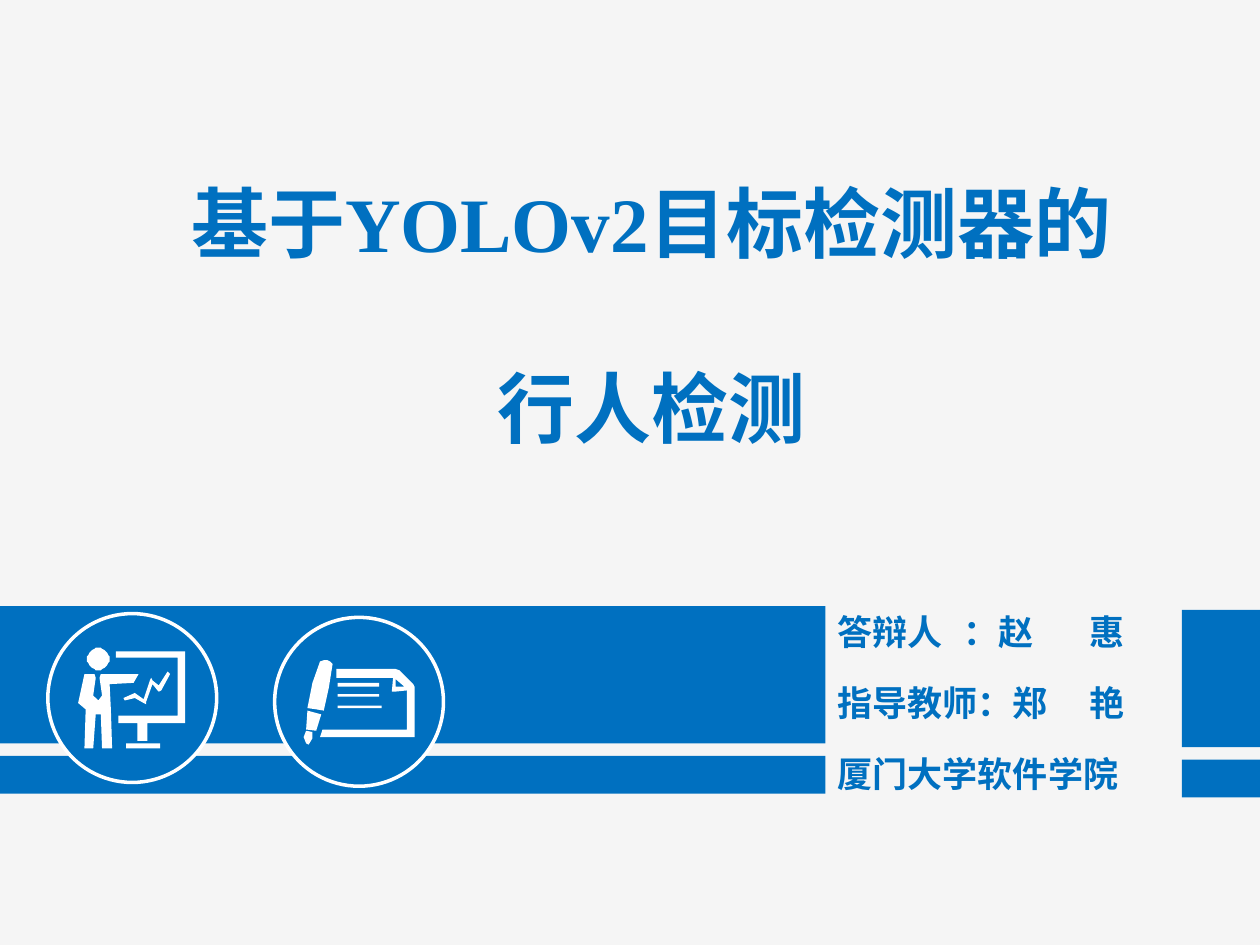
import dataclasses
import math

import pptx
import pptx.dml.color
import pptx.enum.shapes
import pptx.enum.text
import pptx.oxml
import pptx.oxml.ns
import pptx.util

Inches = pptx.util.Inches
Pt = pptx.util.Pt
Shapes = pptx.enum.shapes.MSO_SHAPE


@dataclasses.dataclass(frozen=True)
class Theme:
    """Colours, fonts and type sizes of the deck."""

    blue: str = "0070C0"
    white: str = "FFFFFF"
    backdrop: str = "F5F5F5"
    title_font: str = "Calibri"
    latin_font: str = "Times New Roman"
    label_font: str = "Noto Sans CJK SC"
    title_size: int = 44
    label_size: int = 20
    ring_width: int = 2


THEME = Theme()
UNITS_PER_INCH = 100
DIAMETER = 1.34


def rgb(value):
    """Return a colour object for a hex string."""
    return pptx.dml.color.RGBColor.from_string(value)


def bar_outline(left, top, right, bottom):
    """Return the corners of an upright rectangle."""
    return [(left, top), (right, top), (right, bottom), (left, bottom)]


def disc_outline(x, y, radius, steps=32):
    """Return points around a circle."""
    angles = [2 * math.pi * step / steps for step in range(steps)]
    return [(x + radius * math.cos(a), y + radius * math.sin(a)) for a in angles]


PRESENTER = [
    disc_outline(16, 9, 9),
    [(36, 40), (45, 36), (52, 41), (57, 26), (58, 24), (59, 26), (64, 30),
     (71, 19), (73, 21), (66, 34), (64, 35), (63, 34), (59, 29), (54, 43),
     (54, 45), (52, 44), (45, 40), (37, 42)],
    bar_outline(38, 76, 65, 80),
    [(55, 60), (85, 60), (85, 3), (30, 3), (30, 8), (79, 8), (79, 54),
     (32, 54), (32, 60), (47, 60), (47, 74), (55, 74)],
    [(0, 44), (6, 49), (5, 80), (12, 80), (14, 53), (18, 53), (19, 80),
     (27, 80), (26, 49), (25, 29), (44, 28), (48, 21), (18, 21), (17, 24),
     (19, 38), (16, 42), (12, 38), (14, 24), (13, 21), (5, 21)],
]
PEN_AND_PAPER = [
    [(13, 2), (16, 0.9), (18.8, 1.1), (21, 2), (23, 4), (20.2, 23.2),
     (16, 41), (9.5, 39.6), (3, 39), (6.9, 19.4)],
    [(15, 56), (13, 62), (88, 62), (88, 22), (87, 20), (76, 9), (73, 8),
     (26, 8), (26, 15), (71, 15), (70, 26), (72, 26), (82, 25), (82, 56)],
    [(80, 22), (73, 22), (73, 16)],
    bar_outline(27, 37, 62, 39),
    bar_outline(27, 28, 60, 30),
    bar_outline(27, 19, 60, 22),
    [(2, 57), (7, 58), (7, 63), (4, 68), (2, 67), (0, 62)],
    [(3, 41), (2, 56), (10, 57), (14, 44)],
]


def paint(shape, fill, line=None):
    """Give a shape a flat fill and an optional outline."""
    shape.shadow.inherit = False
    shape.fill.solid()
    shape.fill.fore_color.rgb = rgb(fill)
    if line:
        shape.line.color.rgb = rgb(line)
        shape.line.width = Pt(THEME.ring_width)
    else:
        shape.line.fill.background()


def style_font(font, name, size):
    """Set a bold blue font."""
    font.name = name
    font.size = Pt(size)
    font.bold = True
    font.color.rgb = rgb(THEME.blue)


def add_title(page, left, top, width, height):
    """Place the two-part title in its placeholder."""
    title = page.shapes.title
    title.left, title.top = Inches(left), Inches(top)
    title.width, title.height = Inches(width), Inches(height)
    frame = title.text_frame
    frame.word_wrap = True
    frame.auto_size = pptx.enum.text.MSO_AUTO_SIZE.NONE
    frame.vertical_anchor = pptx.enum.text.MSO_ANCHOR.TOP
    topic, method = frame.paragraphs[0], frame.add_paragraph()
    for text in ("基于", "YOLOv2", "目标检测器的"):
        span = topic.add_run()
        span.text = text
        if text.isascii():
            span.font.name = THEME.latin_font
    method.add_run().text = "行人检测"
    method.space_before = Pt(53)
    for para in (topic, method):
        para.alignment = pptx.enum.text.PP_ALIGN.CENTER
        style_font(para.font, THEME.title_font, THEME.title_size)


def add_label(page, text, left, top, width, height):
    """Place one line about the speaker."""
    box = page.shapes.add_textbox(
        Inches(left), Inches(top), Inches(width), Inches(height))
    box.text_frame.word_wrap = True
    para = box.text_frame.paragraphs[0]
    span = para.add_run()
    span.text = text
    style_font(span.font, THEME.label_font, THEME.label_size)
    east_asian = pptx.oxml.parse_xml(
        f'<a:ea {pptx.oxml.ns.nsdecls("a")} typeface="{THEME.label_font}"/>')
    span.font._element.append(east_asian)


def add_speaker(page, left, top, width, pitch):
    """Stack the speaker, tutor and school lines."""
    lines = ("答辩人\t：赵\t惠", "指导教师：郑\t艳", "厦门大学软件学院")
    for row, text in enumerate(lines):
        add_label(page, text, left, top + row * pitch, width, 0.44)


def add_band(page, left, top, width):
    """Draw a thick bar with a thin bar below it."""
    for offset, height in ((0, 1.09), (1.19, 0.3)):
        bar = page.shapes.add_shape(
            Shapes.RECTANGLE, Inches(left), Inches(top + offset),
            Inches(width), Inches(height))
        paint(bar, THEME.blue)


def add_badge(page, outlines, left, top, inset_x, inset_y):
    """Draw a ringed disc with a white icon inside."""
    disc = page.shapes.add_shape(
        Shapes.OVAL, Inches(left), Inches(top), Inches(DIAMETER), Inches(DIAMETER))
    paint(disc, THEME.blue, THEME.white)
    first, *others = outlines
    builder = page.shapes.build_freeform(
        *first[0], scale=Inches(1) / UNITS_PER_INCH)
    builder.add_line_segments(first[1:], close=True)
    for outline in others:
        builder.move_to(*outline[0])
        builder.add_line_segments(outline[1:], close=True)
    icon = builder.convert_to_shape(Inches(left + inset_x), Inches(top + inset_y))
    paint(icon, THEME.white)


def build_cover(deck):
    """Compose the cover page."""
    page = deck.slides.add_slide(deck.slide_layouts[5])
    page.background.fill.solid()
    page.background.fill.fore_color.rgb = rgb(THEME.backdrop)
    add_band(page, 9.38, 4.84, 0.62)
    add_band(page, 0, 4.81, 6.55)
    add_badge(page, PRESENTER, 0.38, 4.87, 0.24, 0.27)
    add_badge(page, PEN_AND_PAPER, 2.18, 4.9, 0.23, 0.33)
    add_speaker(page, 6.55, 4.8, 2.81, 0.56)
    add_title(page, 1.36, 1.34, 7.62, 2.32)


def main():
    """Build and save the deck."""
    deck = pptx.Presentation()
    deck.slide_width, deck.slide_height = Inches(10), Inches(7.5)
    build_cover(deck)
    deck.save("out.pptx")


if __name__ == "__main__":
    main()
